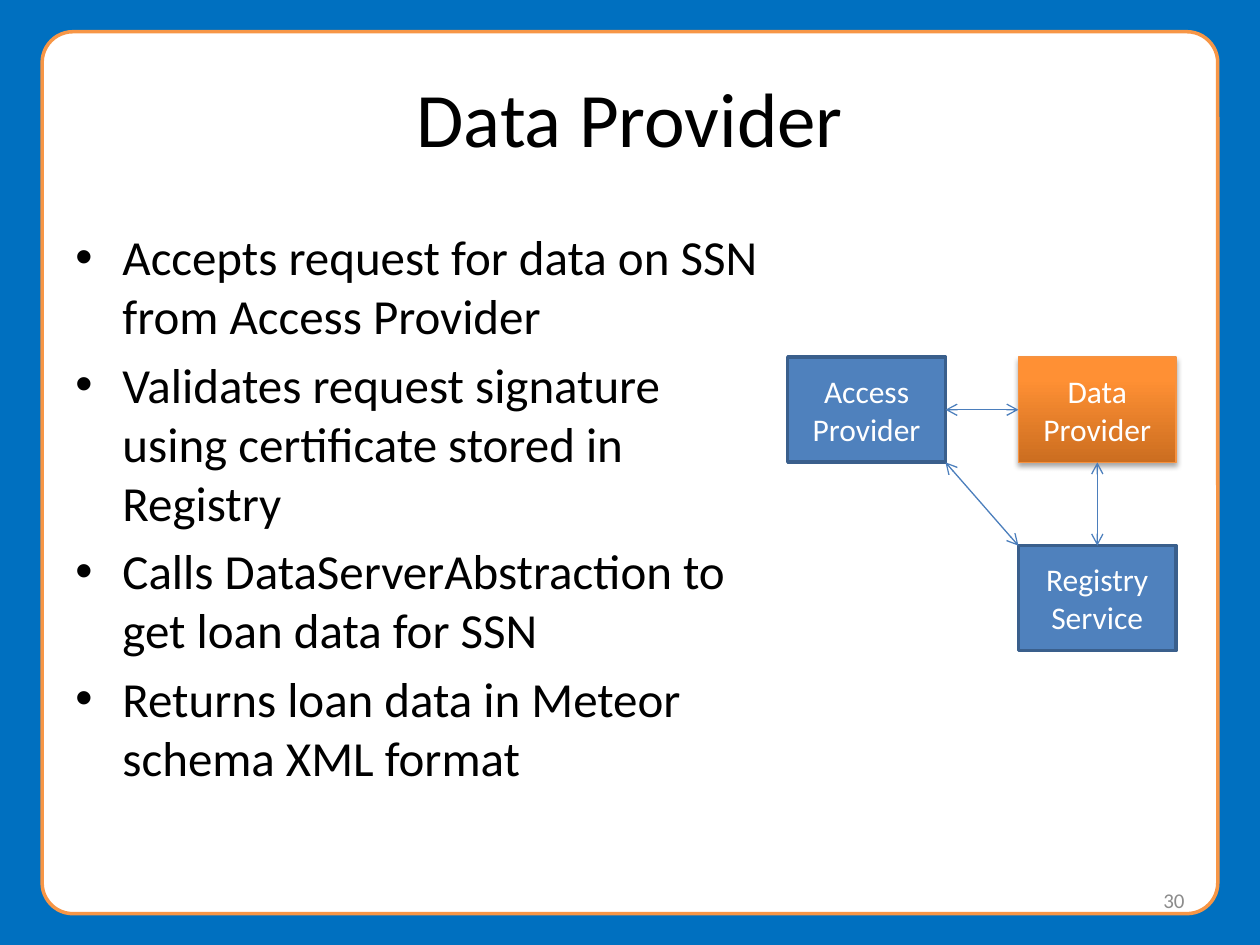
from copy import deepcopy

from lxml import etree
from pptx import Presentation
from pptx.dml.color import RGBColor
from pptx.enum.shapes import MSO_CONNECTOR, MSO_SHAPE
from pptx.enum.text import MSO_ANCHOR, PP_ALIGN
from pptx.oxml.ns import qn
from pptx.util import Cm, Pt

STRAIGHT = MSO_CONNECTOR.STRAIGHT
RECTANGLE = MSO_SHAPE.RECTANGLE
ROUNDED = MSO_SHAPE.ROUNDED_RECTANGLE
MIDDLE = MSO_ANCHOR.MIDDLE
CENTER, RIGHT = PP_ALIGN.CENTER, PP_ALIGN.RIGHT
TOP_SIDE, LEFT_SIDE, BOTTOM_SIDE, RIGHT_SIDE = range(4)

BLACK = RGBColor(0x00, 0x00, 0x00)
WHITE = RGBColor(0xFF, 0xFF, 0xFF)
GRAY = RGBColor(0x8C, 0x8C, 0x8C)
BACKDROP_BLUE = RGBColor(0x00, 0x70, 0xC0)
PANEL_ORANGE = RGBColor(0xF7, 0x96, 0x46)
BOX_BLUE = RGBColor(0x4F, 0x81, 0xBD)
BOX_EDGE = RGBColor(0x3A, 0x5F, 0x8C)
ARROW_BLUE = RGBColor(0x4B, 0x7E, 0xBC)
HIGHLIGHT_EDGE = RGBColor(0xF6, 0x92, 0x40)
HIGHLIGHT_STOPS = [
    (0, RGBColor(0xCC, 0x6E, 0x20)),
    (0.8, RGBColor(0xFF, 0x90, 0x34)),
    (1, RGBColor(0xFF, 0x91, 0x36)),
]


def format_text(paragraph, size, color, alignment=None):
    paragraph.alignment = alignment
    paragraph.font.name = "Calibri"
    paragraph.font.size = Pt(size)
    paragraph.font.color.rgb = color


prs = Presentation()
prs.slide_width, prs.slide_height = Cm(25.4), Cm(19.05)
slide = prs.slides.add_slide(prs.slide_layouts[5])
slide.background.fill.solid()
slide.background.fill.fore_color.rgb = BACKDROP_BLUE
shapes = slide.shapes

panel = shapes.add_shape(ROUNDED, Cm(0.85), Cm(0.64), Cm(23.7), Cm(17.78))
panel.adjustments[0] = 0.035
panel.shadow.inherit = False
panel.fill.solid()
panel.fill.fore_color.rgb = WHITE
panel.line.color.rgb = PANEL_ORANGE
panel.line.width = Pt(2)
shapes.title._element.addprevious(panel._element)

title = shapes.title
title.left, title.top, title.width, title.height = Cm(1.27), Cm(0.76), Cm(22.86), Cm(3.18)
title.text_frame.text = "Data Provider"
title.text_frame.vertical_anchor = MIDDLE
format_text(title.text_frame.paragraphs[0], 44, BLACK, CENTER)

duties = [
    "Accepts request for data on SSN from Access Provider",
    "Validates request signature using certificate stored in Registry",
    "Calls DataServerAbstraction to get loan data for SSN",
    "Returns loan data in Meteor schema XML format",
]
duty_list = shapes.add_textbox(Cm(1.27), Cm(4.45), Cm(14.4), Cm(12.57)).text_frame
duty_list.word_wrap = True
for index, duty in enumerate(duties):
    paragraph = duty_list.add_paragraph() if index else duty_list.paragraphs[0]
    paragraph.text = duty
    properties = paragraph._p.get_or_add_pPr()
    properties.set("marL", str(Cm(0.95)))
    properties.set("indent", str(-Cm(0.95)))
    etree.SubElement(properties, qn("a:buFont"), typeface="Arial")
    etree.SubElement(properties, qn("a:buChar"), char="•")
    if index:
        paragraph.space_before = Pt(5.6)
    format_text(paragraph, 28, BLACK)

page_number = shapes.add_textbox(Cm(18.2), Cm(17.65), Cm(5.93), Cm(1.01)).text_frame
page_number.word_wrap = True
page_number.vertical_anchor = MIDDLE
page_number.text = "30"
format_text(page_number.paragraphs[0], 12, GRAY, RIGHT)

nodes = {}
for label, left, top in [
    ("Access Provider", 15.88, 7.2),
    ("Registry Service", 20.53, 11),
    ("Data Provider", 20.53, 7.2),
]:
    node = shapes.add_shape(RECTANGLE, Cm(left), Cm(top), Cm(3.18), Cm(2.12))
    node.shadow.inherit = False
    node.fill.solid()
    node.fill.fore_color.rgb = BOX_BLUE
    node.line.color.rgb = BOX_EDGE
    node.line.width = Pt(2)
    node.text_frame.word_wrap = True
    node.text_frame.vertical_anchor = MIDDLE
    node.text_frame.text = label
    format_text(node.text_frame.paragraphs[0], 18, WHITE, CENTER)
    nodes[label] = node

access, registry, data = nodes.values()

data.fill.gradient()
data.fill.gradient_angle = 90
stop_list = data._element.spPr.find(".//" + qn("a:gsLst"))
stop_list.append(deepcopy(stop_list[0]))
for stop, (position, color) in zip(data.fill.gradient_stops, HIGHLIGHT_STOPS):
    stop.position = position
    stop.color.rgb = color
data.line.color.rgb = HIGHLIGHT_EDGE
data.line.width = Pt(0.75)
effects = data._element.spPr.find(qn("a:effectLst"))
shadow = etree.SubElement(
    effects, qn("a:outerShdw"), blurRad=str(Pt(3.1)), dist=str(Pt(1.8)),
    dir="5400000", rotWithShape="0",
)
shadow_color = etree.SubElement(shadow, qn("a:srgbClr"), val=str(BLACK))
etree.SubElement(shadow_color, qn("a:alpha"), val="35000")

access_registry = shapes.add_connector(
    STRAIGHT, access.left + access.width, access.top + access.height,
    registry.left, registry.top,
)
access_data = shapes.add_connector(STRAIGHT, 0, 0, 0, 0)
access_data.begin_connect(access, RIGHT_SIDE)
access_data.end_connect(data, LEFT_SIDE)
data_registry = shapes.add_connector(STRAIGHT, 0, 0, 0, 0)
data_registry.begin_connect(data, BOTTOM_SIDE)
data_registry.end_connect(registry, TOP_SIDE)

for link in (access_registry, access_data, data_registry):
    link.line.color.rgb = ARROW_BLUE
    link.line.width = Pt(0.75)
    outline = link.line._get_or_add_ln()
    for end in ("a:headEnd", "a:tailEnd"):
        etree.SubElement(outline, qn(end), type="arrow")
    etree.SubElement(link._element.spPr, qn("a:effectLst"))

prs.save("out.pptx")
